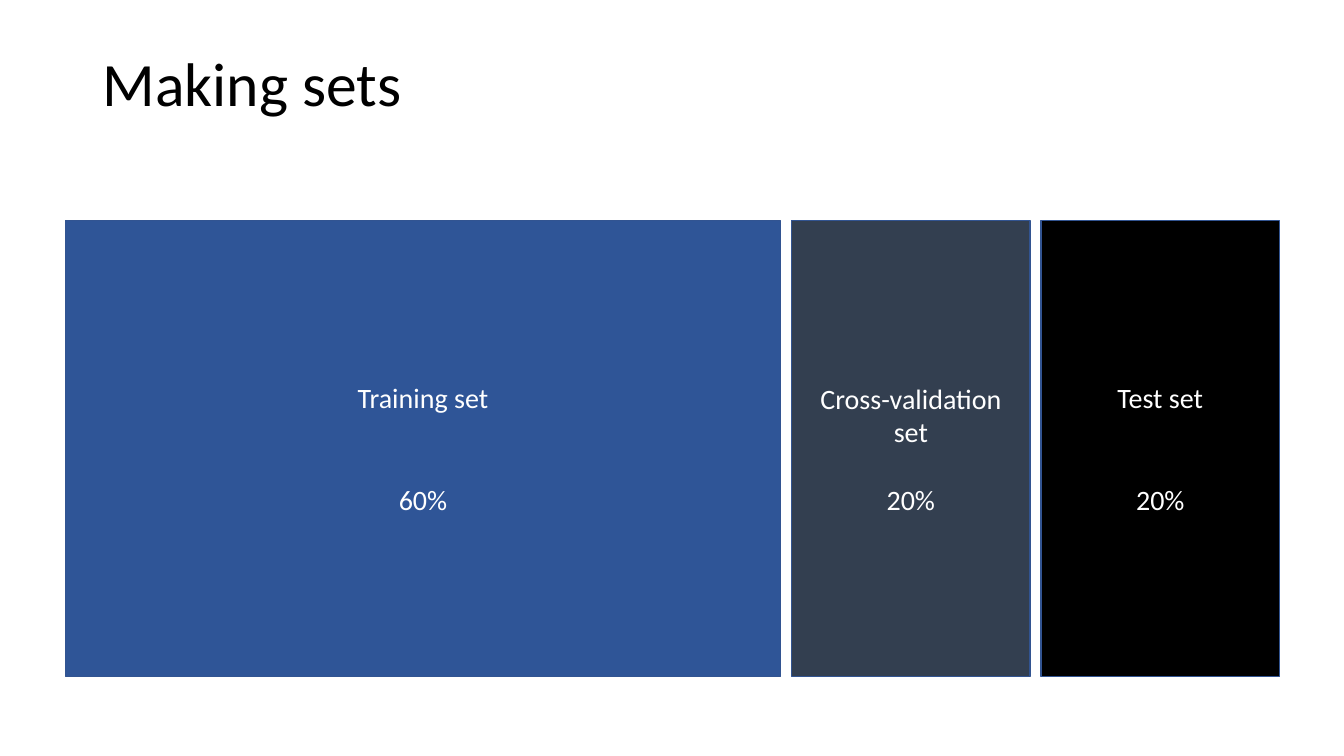
import dataclasses

import pptx
import pptx.dml.color
import pptx.enum.shapes
import pptx.enum.text
import pptx.util

Inches = pptx.util.Inches
Pt = pptx.util.Pt

COLORS = {
    "title": "000000",
    "label": "FFFFFF",
    "outline": "325491",
    "training": "2F5597",
    "validation": "333F50",
    "test": "000000",
}
FONT = "Calibri"
LABEL_SIZE = 20
LINE_HEIGHT = 24.4  # points, one line of label text

BAR_LEFT, BAR_TOP, BAR_HEIGHT = 0.65, 2.19, 4.52
BAR_WIDTH = 11.82  # sum of the block widths, without gaps
GAP = 0.11


@dataclasses.dataclass
class DataSet:
    name: str
    percent: int
    color: str
    lines_between: int


DATA_SETS = [
    DataSet("Training set", 60, "training", 2),
    DataSet("Cross-validation set", 20, "validation", 1),
    DataSet("Test set", 20, "test", 2),
]


def rgb(name: str) -> pptx.dml.color.RGBColor:
    return pptx.dml.color.RGBColor.from_string(COLORS[name])


def add_run(p, text: str, size: float, color: str) -> None:
    r = p.add_run()
    r.text = text
    r.font.name = FONT
    r.font.size = Pt(size)
    r.font.color.rgb = rgb(color)


def add_title(s, text: str) -> None:
    box = s.shapes.add_textbox(Inches(0.92), Inches(0.13), Inches(11.5), Inches(1.45))
    tf = box.text_frame
    tf.word_wrap = True
    tf.vertical_anchor = pptx.enum.text.MSO_ANCHOR.MIDDLE
    p = tf.paragraphs[0]
    p.line_spacing = 0.9
    add_run(p, text, 44, "title")


def add_block(s, data_set: DataSet, left: float, width: float) -> None:
    sp = s.shapes.add_shape(
        pptx.enum.shapes.MSO_SHAPE.RECTANGLE,
        Inches(left), Inches(BAR_TOP), Inches(width), Inches(BAR_HEIGHT),
    )
    sp.shadow.inherit = False
    sp.fill.solid()
    sp.fill.fore_color.rgb = rgb(data_set.color)
    sp.line.color.rgb = rgb("outline")
    sp.line.width = Pt(1)

    tf = sp.text_frame
    tf.word_wrap = True
    tf.vertical_anchor = pptx.enum.text.MSO_ANCHOR.MIDDLE
    name, share = tf.paragraphs[0], tf.add_paragraph()
    share.space_before = Pt(data_set.lines_between * LINE_HEIGHT)
    for p, text in ((name, data_set.name), (share, f"{data_set.percent}%")):
        p.alignment = pptx.enum.text.PP_ALIGN.CENTER
        add_run(p, text, LABEL_SIZE, "label")


def main() -> None:
    prs = pptx.Presentation()
    prs.slide_width, prs.slide_height = Inches(13.33), Inches(7.5)
    s = prs.slides.add_slide(prs.slide_layouts[6])
    add_title(s, "Making sets")
    left = BAR_LEFT
    for data_set in DATA_SETS:
        width = BAR_WIDTH * data_set.percent / 100
        add_block(s, data_set, left, width)
        left += width + GAP
    prs.save("out.pptx")


if __name__ == "__main__":
    main()
